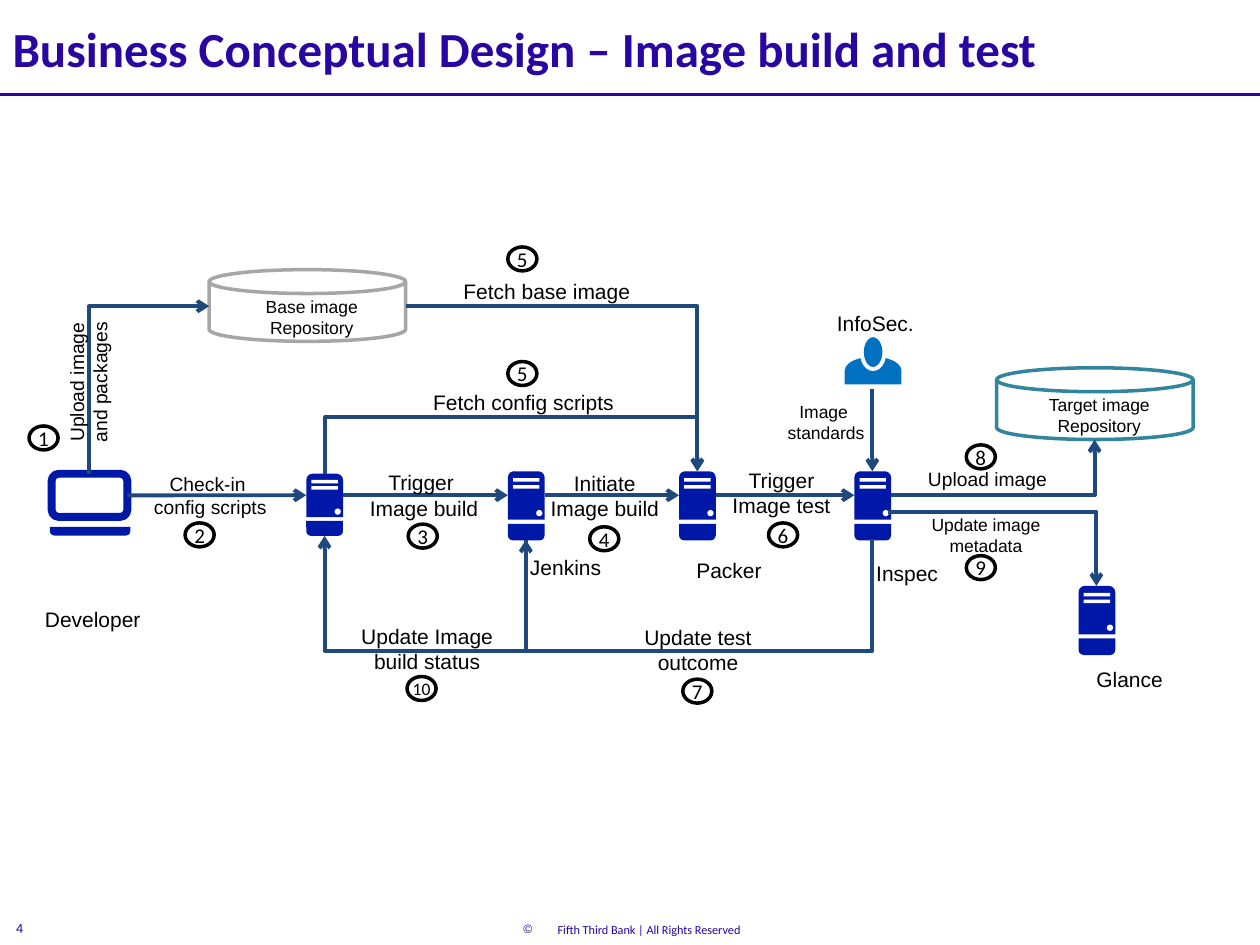
from pptx import Presentation
from pptx.dml.color import RGBColor
from pptx.enum.shapes import MSO_CONNECTOR as Link, MSO_SHAPE as Preset
from pptx.enum.text import MSO_ANCHOR as Anchor, MSO_AUTO_SIZE as AutoSize, PP_ALIGN as Align
from pptx.oxml.ns import qn
from pptx.util import Pt
from lxml.etree import SubElement

COLORS = {"title": "2905A1", "device": "0018A8", "flow": "1F497D", "person": "0070C0", "base": "A6A6A6",
          "target": "31859C", "white": "FFFFFF", "black": "000000"}
MIDDLE, SERVER_TOP, RETURN_LEVEL = 283, 269.3, 372.2
SERVERS = [(175, 270.7, 35.5), (290.2, SERVER_TOP, 39.5), (388, SERVER_TOP, 39.5),
           (488.2, SERVER_TOP, 39.5), (616.3, 334.8, 39.5)]
SERVER_WIDTH = 21
LABELS = [
    (["Check-in ", "config scripts"], 11, 120.2, 266.4),
    (["Trigger ", "Image build"], 12, 242.3, 265),
    (["Initiate", "Image build"], 12, 345.6, 265.4),
    (["Trigger", "Image test"], 12, 446.6, 263.5),
    (["Fetch config scripts"], 12, 299.2, 218.9),
    (["Fetch base image"], 12, 312.5, 155.5),
    (["Update test", "outcome"], 12, 398.9, 353.5),
    (["Image ", "standards"], 10, 472, 225.4),
    (["Upload image"], 11, 564.3, 263.5),
    (["Update image", "metadata"], 10, 563.4, 290.2),
    (["Jenkins"], 12, 323.2, 313.2),
    (["Packer"], 12, 416.6, 315.2),
    (["Inspec"], 12, 518.4, 316.8),
    (["Glance"], 12, 645.5, 377.3),
    (["Developer"], 12, 53, 343.2),
    (["InfoSec."], 12, 500.2, 173.7),
]
BADGES = [("1", 16.6, 243.4), ("2", 105.8, 298.8), ("3", 233.3, 299.5), ("4", 337, 301),
          ("5", 290.2, 206.6), ("5", 290.2, 141.1), ("6", 439.2, 298.8), ("7", 390.2, 388.1),
          ("8", 552.2, 254.2), ("9", 552.2, 317.5), ("10", 232.6, 386.6)]
ROUTES = [
    ((51, 270.7), (119.5, 175), True, None),
    ((185.5, 270.7), (398.5, SERVER_TOP), True, 238.3),
    ((231.8, 175), (398.5, SERVER_TOP), False, None),
    ((498.5, 307.93), (300.5, 308.5), True, RETURN_LEVEL),
    ((300.5, 308.5), (185.5, 306.2), True, RETURN_LEVEL),
    ((507.6, 292.3), (626.5, 334.8), False, None),
    ((509.2, MIDDLE), (625.5, 251.3), False, None),
]


def color(name):
    """Return the named palette colour."""
    return RGBColor.from_string(COLORS[name])


def add_preset(shapes, preset, box, fill=None, line=None, width=0, rotation=0, adjustments=()):
    """Add a flat preset shape in the box (left, top, width, height)."""
    shape = shapes.add_shape(preset, *map(Pt, box))
    shape.shadow.inherit = False
    shape.rotation = rotation
    for index, value in enumerate(adjustments):
        shape.adjustments[index] = value
    if fill:
        shape.fill.solid()
        shape.fill.fore_color.rgb = color(fill)
    else:
        shape.fill.background()
    if line:
        shape.line.color.rgb = color(line)
        shape.line.width = Pt(width)
    else:
        shape.line.fill.background()
    return shape


def add_run(paragraph, text, size, font="Arial", ink="black", bold=False):
    """Add one formatted run."""
    run = paragraph.add_run()
    run.text = text
    run.font.name, run.font.size, run.font.bold = font, Pt(size), bold
    run.font.color.rgb = color(ink)


def add_label(slide, lines, size, center, top, width=None):
    """Add centred lines around a centre x, wrapped only where a width is given."""
    wrap = width is not None
    width = width or max(map(len, lines)) * size * 0.54 + 14.4
    height = len(lines) * size * 1.2 + 7.2
    label = slide.shapes.add_textbox(Pt(center - width / 2), Pt(top), Pt(width), Pt(height))
    frame = label.text_frame
    frame.word_wrap, frame.auto_size = wrap, AutoSize.SHAPE_TO_FIT_TEXT
    for index, line in enumerate(lines):
        paragraph = frame.add_paragraph() if index else frame.paragraphs[0]
        paragraph.alignment = Align.CENTER
        add_run(paragraph, line, size)
    return label


def style_line(connector, ink="flow", width=2.25, arrow=True):
    """Format a connector and optionally give it an arrowhead."""
    connector.line.color.rgb = color(ink)
    connector.line.width = Pt(width)
    properties = connector._element.spPr
    if arrow:
        SubElement(properties.find(qn("a:ln")), qn("a:tailEnd"), type="arrow")
    SubElement(properties, qn("a:effectLst"))


def add_arrow(slide, start, end):
    """Add a straight arrow."""
    connector = slide.shapes.add_connector(Link.STRAIGHT, *map(Pt, start + end))
    style_line(connector)
    return connector


def add_route(slide, start, end, vertical, turn):
    """Add an elbow arrow that leaves vertically or horizontally and may turn at a given level."""
    connector = slide.shapes.add_connector(Link.ELBOW, *map(Pt, start + end))
    dx, dy = end[0] - start[0], end[1] - start[1]
    width, height = (abs(dy), abs(dx)) if vertical else (abs(dx), abs(dy))
    connector.left = Pt((start[0] + end[0] - width) / 2)
    connector.top = Pt((start[1] + end[1] - height) / 2)
    connector.width, connector.height = Pt(width), Pt(height)
    flips = (dy < 0, dx > 0) if vertical else (dx < 0, dy < 0)
    transform = connector._element.spPr.find(qn("a:xfrm"))
    transform.set("rot", "5400000" if vertical else "0")
    for name, flip in zip(("flipH", "flipV"), flips):
        transform.set(name, str(int(flip)))
    geometry = connector._element.spPr.find(qn("a:prstGeom"))
    if turn is None:
        geometry.set("prst", "bentConnector2")
    else:
        share = round((turn - start[1]) / dy * 100000)
        SubElement(geometry.find(qn("a:avLst")), qn("a:gd"), name="adj1", fmla=f"val {share}")
    style_line(connector)


def add_header(slide, left, top, width, height):
    """Place the title and the rule below it."""
    title = slide.shapes.title
    title.left, title.top, title.width, title.height = map(Pt, (left, top, width, height))
    title.text_frame.vertical_anchor = Anchor.MIDDLE
    paragraph = title.text_frame.paragraphs[0]
    paragraph.alignment, paragraph.line_spacing = Align.LEFT, 0.85
    add_run(paragraph, "Business Conceptual Design – Image build and test", 28, "Calibri", "title", True)
    rule = slide.shapes.add_connector(Link.STRAIGHT, Pt(0), Pt(54), Pt(720), Pt(54))
    style_line(rule, "title", 1.5, False)


def add_footer(slide, left, top, width, height):
    """Place the page number and the copyright line."""
    number = slide.shapes.add_textbox(Pt(left), Pt(top), Pt(24.5), Pt(height))
    add_run(number.text_frame.paragraphs[0], "4", 8, "Calibri", "title")
    notice = slide.shapes.add_textbox(Pt(left + 18.7), Pt(top + 1.4), Pt(width), Pt(height))
    notice.text_frame.word_wrap = True
    paragraph = notice.text_frame.paragraphs[0]
    paragraph.alignment = Align.CENTER
    properties = paragraph._p.get_or_add_pPr()
    properties.set("marL", str(Pt(18)))
    properties.set("indent", str(-Pt(18)))
    SubElement(properties, qn("a:buFont"), typeface="Arial")
    SubElement(properties, qn("a:buChar"), char="©")
    add_run(paragraph, " Fifth Third Bank | All Rights Reserved", 7, "Calibri", "title")


def add_server(slide, left, top, width, height):
    """Draw a grouped server tower in the box."""
    shapes = slide.shapes.add_group_shape().shapes
    tab = Preset.ROUND_2_SAME_RECTANGLE
    add_preset(shapes, tab, (left, top, width, height * 0.7), "device")
    add_preset(shapes, tab, (left, top + height * 0.76, width, height * 0.24), "device",
               rotation=180, adjustments=(0.31, 0))
    for offset in (0.2, 0.1):
        add_preset(shapes, tab, (left + width * 0.14, top + height * offset, width * 0.72, 2),
                   "white", rotation=180, adjustments=(0, 0))
    add_preset(shapes, Preset.FLOWCHART_CONNECTOR,
               (left + width * 0.77, top + height * 0.56, 3.6, 3.6), "white")


def add_laptop(slide, left, top, width, height):
    """Draw a laptop in the box and return its screen."""
    add_preset(slide.shapes, Preset.ROUND_2_SAME_RECTANGLE, (left, top + height - 5, width, 5),
               "device", rotation=180, adjustments=(0.5, 0))
    return add_preset(slide.shapes, Preset.ROUNDED_RECTANGLE,
                      (left + 1, top, width - 2.7, height - 10.6), None, "device", 4.5)


def add_person(slide, left, top, width, height):
    """Draw a grouped head and shoulders in the box."""
    shapes = slide.shapes.add_group_shape().shapes
    depth, middle = 15.8, left + width / 2
    add_preset(shapes, Preset.FLOWCHART_DELAY,
               (middle - depth / 2, top + height - (depth + width) / 2, depth, width),
               "person", rotation=270)
    add_preset(shapes, Preset.OVAL, (middle - 6.5, top, 13, 19.4), "person", "white", 2.25)


def add_repository(slide, name, line, left, top, width, height):
    """Draw a labelled repository cylinder in the box."""
    add_preset(slide.shapes, Preset.FLOWCHART_MAGNETIC_DISK, (left, top, width, height),
               "white", line, 2)
    add_label(slide, [name, "Repository"], 10, left + width / 2 + 2.5, top + 11.5, 103)


def add_badge(slide, number, left, top):
    """Draw a numbered step marker."""
    badge = add_preset(slide.shapes, Preset.OVAL, (left, top, 16.6, 13.7), "white", "black", 2)
    badge.text_frame.word_wrap, badge.text_frame.vertical_anchor = False, Anchor.MIDDLE
    paragraph = badge.text_frame.paragraphs[0]
    paragraph.alignment = Align.CENTER
    add_run(paragraph, number, 12 if len(number) == 1 else 10, "Calibri")


def add_flow(slide, screen):
    """Draw the arrows, their labels and the step markers."""
    add_arrow(slide, (72.7, MIDDLE), (SERVERS[0][0], MIDDLE)).begin_connect(screen, 3)
    for source, target in zip(SERVERS[:3], SERVERS[1:4]):
        add_arrow(slide, (source[0] + SERVER_WIDTH, MIDDLE), (target[0], MIDDLE))
    add_arrow(slide, (498.5, 222.5), (498.5, SERVER_TOP))
    for route in ROUTES:
        add_route(slide, *route)
    for label in LABELS:
        add_label(slide, *label)
    add_label(slide, ["Upload image", "and packages"], 11, 50.4, 201.6).rotation = 270
    add_label(slide, ["Update Image build status"], 12, 244.1, 352.8, 113.8)
    for badge in BADGES:
        add_badge(slide, *badge)


def main():
    """Build and save the presentation."""
    presentation = Presentation()
    presentation.slide_width, presentation.slide_height = Pt(720), Pt(540)
    slide = presentation.slides.add_slide(presentation.slide_layouts[5])
    add_header(slide, 0, -4.3, 661.7, 68.4)
    add_footer(slide, 2.2, 522, 680.4, 16.5)
    for left, top, height in SERVERS:
        add_server(slide, left, top, SERVER_WIDTH, height)
    screen = add_laptop(slide, 28.5, 270.7, 46, 35.3)
    add_repository(slide, "Base image", "base", 119.5, 154.1, 112.3, 41)
    add_repository(slide, "Target image", "target", 569.5, 210.2, 112.3, 41)
    add_person(slide, 482.7, 191.5, 32.4, 28.1)
    add_flow(slide, screen)
    presentation.save("out.pptx")


if __name__ == "__main__":
    main()
